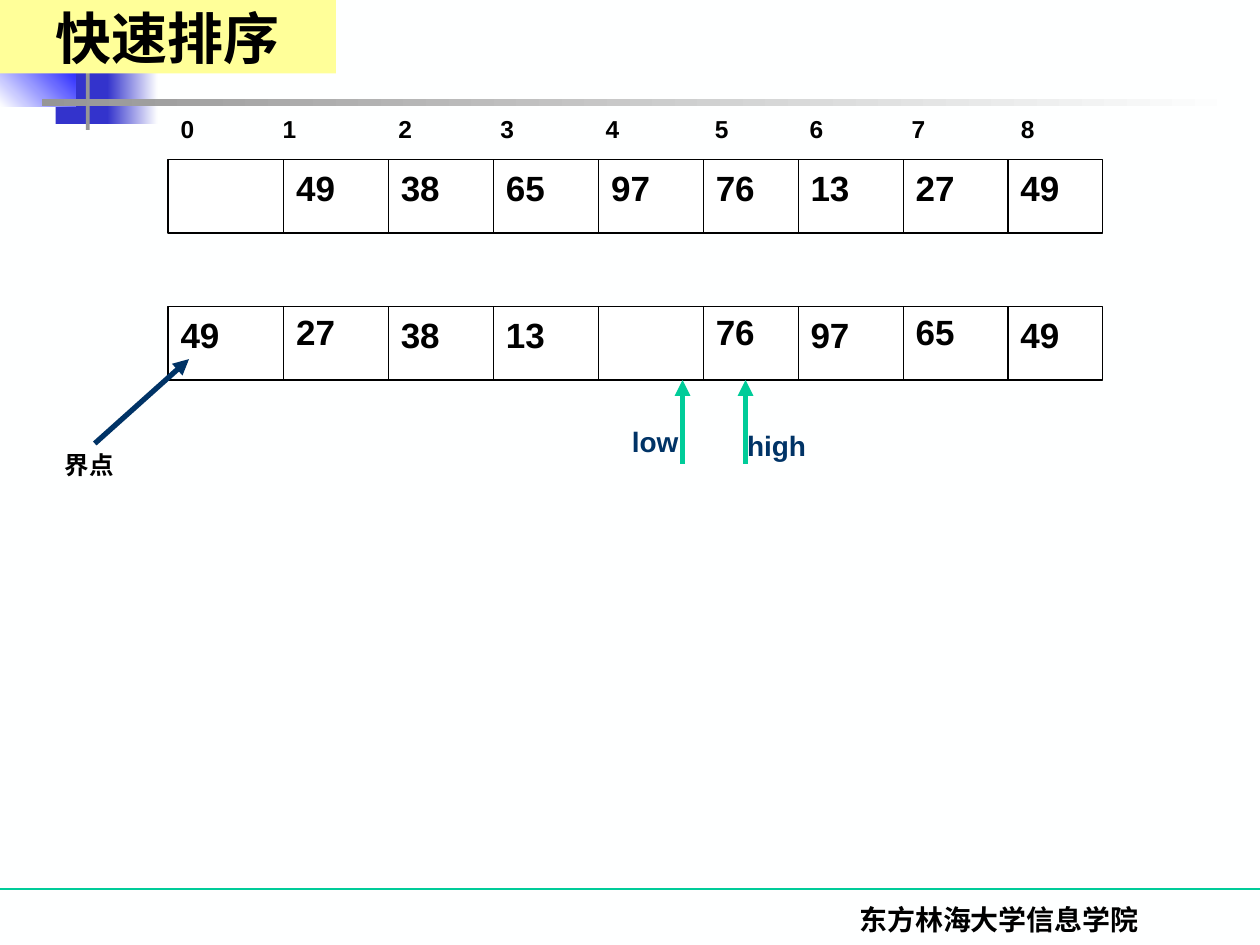
from itertools import accumulate

from lxml import etree
from pptx import Presentation
from pptx.dml.color import RGBColor
from pptx.enum.shapes import MSO_CONNECTOR, MSO_SHAPE
from pptx.enum.text import MSO_ANCHOR, PP_ALIGN
from pptx.oxml.ns import qn
from pptx.util import Cm, Pt

COLORS = {
    "background": "FEFFFF", "white": "FFFFFF", "black": "000000",
    "title": "FFFF99", "navy": "003366", "green": "00CC99",
    "indigo": "3333CC", "blue": "0000FF", "gray": "969696",
}
CELL_WIDTHS = [2.33, 2.11, 2.12, 2.12, 2.11, 1.91, 2.12, 2.11, 1.91]
CELL_LEFTS = [0, *accumulate(CELL_WIDTHS)]
ARRAY_LEFT, ARRAY_WIDTH, ARRAY_HEIGHT = 3.39, CELL_LEFTS[-1], 1.48
INDEX_STOPS = [2.06, 4.39, 6.45, 8.57, 10.77, 12.68, 14.74, 16.94]


def color(name):
    return RGBColor.from_string(COLORS[name])


def format_text(shape, text, size, font="Arial", text_color="black", align=PP_ALIGN.LEFT):
    shape.text_frame.text = text
    paragraph = shape.text_frame.paragraphs[0]
    paragraph.alignment = align
    run_font = paragraph.runs[0].font
    run_font.name, run_font.size, run_font.bold = font, Pt(size), True
    run_font.color.rgb = color(text_color)


def add_text(shapes, left, top, width, height, text, size, **style):
    box = shapes.add_textbox(Cm(left), Cm(top), Cm(width), Cm(height))
    box.text_frame.word_wrap = True
    format_text(box, text, size, **style)
    return box


def add_rectangle(shapes, left, top, width, height, fill, fade_to=None, angle=0):
    """Add a borderless rectangle, with a gradient when fade_to is given."""
    rectangle = shapes.add_shape(MSO_SHAPE.RECTANGLE, Cm(left), Cm(top), Cm(width), Cm(height))
    rectangle.shadow.inherit = False
    rectangle.line.fill.background()
    if fade_to:
        rectangle.fill.gradient()
        rectangle.fill.gradient_angle = angle
        for stop, name in zip(rectangle.fill.gradient_stops, (fill, fade_to)):
            stop.color.rgb = color(name)
    else:
        rectangle.fill.solid()
        rectangle.fill.fore_color.rgb = color(fill)
    return rectangle


def add_line(shapes, start, end, line_color, width=0.75, arrow=False):
    line = shapes.add_connector(MSO_CONNECTOR.STRAIGHT, *map(Cm, (*start, *end)))
    line.line.color.rgb = color(line_color)
    line.line.width = Pt(width)
    if arrow:
        etree.SubElement(line.line._get_or_add_ln(), qn("a:tailEnd"), type="triangle")
    etree.SubElement(line._element.spPr, qn("a:effectLst"))


def add_decoration(slide):
    shapes = slide.shapes.add_group_shape().shapes
    add_rectangle(shapes, 1.12, 1.18, 1.17, 1.32, "indigo")
    add_rectangle(shapes, 2.16, 1.18, 1.02, 1.32, "indigo", "background")
    add_rectangle(shapes, 0, 0.97, 1.52, 1.17, "background", "blue", 45)
    add_rectangle(shapes, 1.73, 0, 0.08, 2.62, "gray")
    add_rectangle(shapes, 0.84, 1.99, 24.16, 0.15, "gray", "background")


def add_footer(slide, top):
    add_line(slide.shapes, (0, top), (25.4, top), "green")
    add_text(slide.shapes, 14.88, top + 0.14, 10.52, 1.27, "东方林海大学信息学院", 16,
             font="Times New Roman", align=PP_ALIGN.CENTER)


def add_title(slide, left, top, width, height):
    title = slide.shapes.title
    title.left, title.top, title.width, title.height = map(Cm, (left, top, width, height))
    title.fill.solid()
    title.fill.fore_color.rgb = color("title")
    title.text_frame.vertical_anchor = MSO_ANCHOR.MIDDLE
    format_text(title, "快速排序", 32, font="Times New Roman", align=PP_ALIGN.CENTER)
    # The title band lies over the decoration.
    title._element.getparent().append(title._element)


def add_indices(slide, left, top):
    box = add_text(slide.shapes, left, top, ARRAY_WIDTH, 0.86,
                   "\t".join(map(str, range(len(CELL_WIDTHS)))), 14)
    properties = box.text_frame.paragraphs[0]._p.get_or_add_pPr()
    tabs = etree.SubElement(properties, qn("a:tabLst"))
    for stop in INDEX_STOPS:
        etree.SubElement(tabs, qn("a:tab"), pos=str(Cm(stop)), algn="l")


def add_array(slide, left, top, values, raised=()):
    """Draw one array; None leaves a cell empty, raised values sit a little higher."""
    shapes = slide.shapes.add_group_shape().shapes
    frame = add_rectangle(shapes, left, top, ARRAY_WIDTH, ARRAY_HEIGHT, "white")
    frame.line.color.rgb = color("black")
    frame.line.width = Pt(0.75)
    for offset in CELL_LEFTS[1:-1]:
        x = left + offset
        add_line(shapes, (x, top), (x, top + ARRAY_HEIGHT), "black")
    for offset, value in zip(CELL_LEFTS, values):
        if value is not None:
            text_top = top - 0.04 if value in raised else top + 0.02
            add_text(slide.shapes, left + offset, text_top, 1.69, 1.11, str(value), 20)


def add_pointer(slide, x, top, label, label_left, label_top):
    """Draw an upward arrow at x with its label, placed relative to the tip."""
    shapes = slide.shapes.add_group_shape().shapes
    add_line(shapes, (x, top + 1.69), (x, top), "green", 3, arrow=True)
    add_text(shapes, x + label_left, top + label_top, 2.33, 0.94, label, 16, text_color="navy")


def add_pivot_note(slide, left, top):
    add_text(slide.shapes, left, top, 2.12, 0.86, "界点", 14)
    add_line(slide.shapes, (left + 0.85, top), (left + 2.75, top - 1.7), "navy", 3, arrow=True)


def main():
    presentation = Presentation()
    presentation.slide_width, presentation.slide_height = Cm(25.4), Cm(19.05)
    slide = presentation.slides.add_slide(presentation.slide_layouts[5])
    slide.background.fill.solid()
    slide.background.fill.fore_color.rgb = color("background")

    add_decoration(slide)
    add_footer(slide, 17.92)
    add_indices(slide, ARRAY_LEFT, 2.18)
    add_array(slide, ARRAY_LEFT, 3.22, [None, 49, 38, 65, 97, 76, 13, 27, 49])
    second_top = 6.18
    add_array(slide, ARRAY_LEFT, second_top, [49, 27, 38, 13, None, 76, 97, 65, 49],
              raised=(27, 76, 65))
    pointer_top = second_top + ARRAY_HEIGHT
    add_pointer(slide, 15.03, pointer_top, "high", -0.22, 0.85)
    add_pointer(slide, 13.76, pointer_top, "low", -1.27, 0.77)
    add_pivot_note(slide, 1.06, 8.94)
    add_title(slide, 0, 0, 6.77, 1.48)
    presentation.save("out.pptx")


if __name__ == "__main__":
    main()
